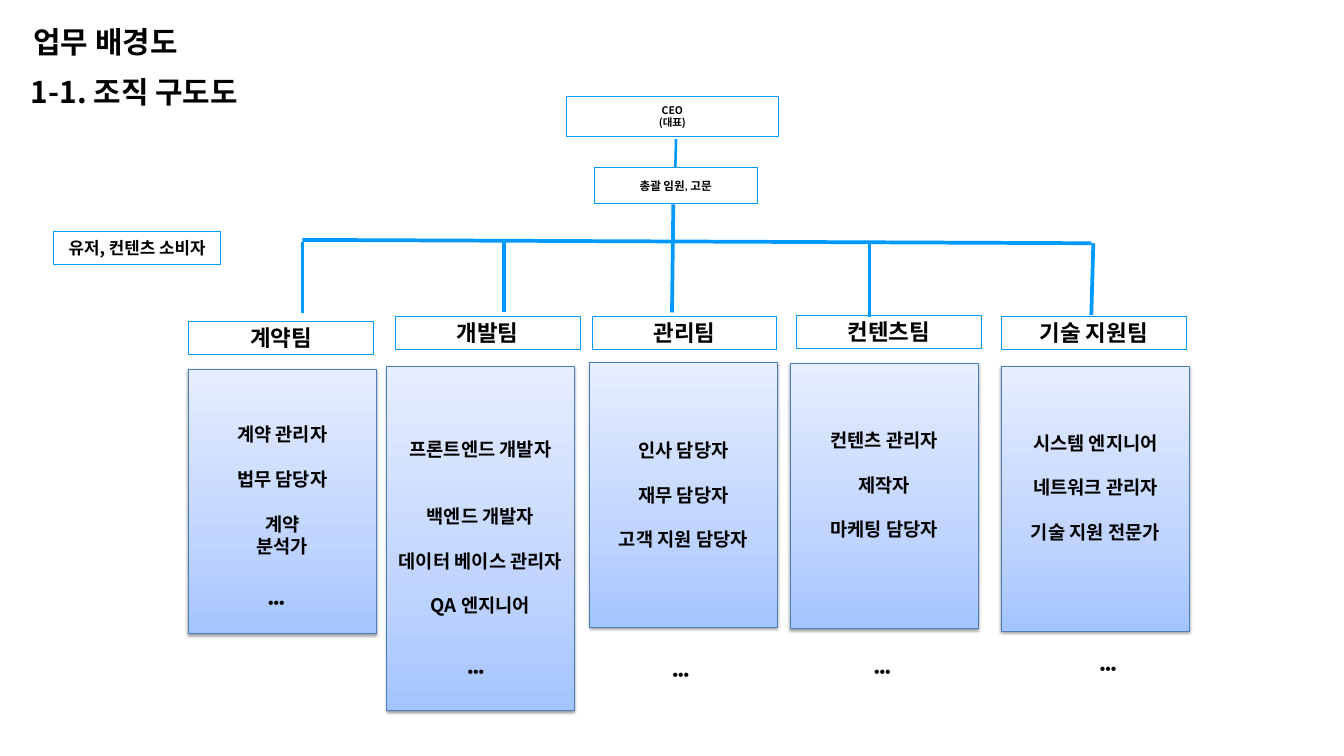
from lxml import etree
from pptx import Presentation
from pptx import util as u
from pptx.dml import color
from pptx.enum import shapes, text
from pptx.oxml import ns

KOREAN = "Noto Sans CJK KR"
ACCENT, PANEL_EDGE, INK = "0099FF", "4B7EBC", "000000"
PANEL_STOPS = ((0, "A4C4FF"), (35, "BFD4FF"), (100, "E6EEFF"))
ROLE_LINE = 24
HEADER_SIZE = (2.75, 0.49)
PANEL_WIDTH = 2.8

# name, header corner, panel corner, panel height, dots corner, blank last line, roles with lines before
TEAMS = (
    ("계약팀", (2.81, 4.78), (2.8, 5.49), 3.94, (3.89, 8.77), True,
     ((0, "계약 관리자"), (1, "법무 담당자"), (1, "계약"), (0, "분석가"))),
    ("개발팀", (5.88, 4.71), (5.75, 5.45), 5.12, (6.86, 9.8), True,
     ((0, "프론트엔드 개발자"), (2, "백엔드 개발자"), (1, "데이터 베이스 관리자"),
      (1, "QA 엔지니어"))),
    ("관리팀", (8.81, 4.71), (8.77, 5.39), 3.94, (9.91, 9.85), False,
     ((0, "인사 담당자"), (1, "재무 담당자"), (1, "고객 지원 담당자"))),
    ("컨텐츠팀", (11.85, 4.69), (11.76, 5.41), 3.94, (12.91, 9.8), True,
     ((0, "컨텐츠 관리자"), (1, "제작자"), (1, "마케팅 담당자"))),
    ("기술 지원팀", (14.9, 4.71), (14.9, 5.45), 3.94, (16.27, 9.76), True,
     ((0, "시스템 엔지니어"), (1, "네트워크 관리자"), (1, "기술 지원 전문가"))),
)
BRANCHES = (
    ((10.06, 2.07), (10.05, 2.49), 2.75),
    ((10.02, 3.04), (10, 4.65), 4),
    ((4.5, 3.57), (16.24, 3.62), 4),
    ((4.5, 3.6), (4.5, 4.66), 4),
    ((7.5, 3.6), (7.5, 4.64), 4),
    ((12.94, 3.6), (12.94, 4.71), 4),
    ((16.27, 3.62), (16.24, 4.69), 4),
)


def rgb(value):
    """Turn a hex string into a colour."""
    return color.RGBColor.from_string(value)


def sub(parent, tag, **attributes):
    """Append a DrawingML element to its parent."""
    return etree.SubElement(parent, ns.qn(f"a:{tag}"), attributes)


def write(frame, lines, size, font=KOREAN, align=text.PP_ALIGN.CENTER):
    """Fill a text frame with bold lines, each given with the blank lines before it."""
    frame.word_wrap = True
    for index, (gap, line) in enumerate(lines):
        paragraph = frame.paragraphs[0] if index == 0 else frame.add_paragraph()
        paragraph.text = line
        paragraph.alignment = align
        if gap:
            paragraph.space_before = u.Pt(gap * ROLE_LINE)
        paragraph.font.size = u.Pt(size)
        paragraph.font.bold = True
        paragraph.font.color.rgb = rgb(INK)
        paragraph.font.name = font
        sub(paragraph.font._rPr, "ea", typeface=font)


def add_rectangle(slide, corner, size, edge):
    """Add an outlined, unfilled rectangle with middle-anchored text."""
    box = slide.shapes.add_shape(shapes.MSO_SHAPE.RECTANGLE,
                                 *map(u.Inches, (*corner, *size)))
    box.shadow.inherit = False
    box.fill.background()
    box.line.color.rgb = rgb(edge)
    box.line.width = u.Pt(0.75)
    box.text_frame.vertical_anchor = text.MSO_ANCHOR.MIDDLE
    return box


def add_label(slide, corner, size, lines, points, font=KOREAN):
    """Add an outlined box with centred lines."""
    box = add_rectangle(slide, corner, size, ACCENT)
    write(box.text_frame, [(0, line) for line in lines], points, font)


def add_caption(slide, corner, size, line, points, font=KOREAN):
    """Add a left-aligned line of free text."""
    box = slide.shapes.add_textbox(*map(u.Inches, (*corner, *size)))
    write(box.text_frame, [(0, line)], points, font, text.PP_ALIGN.LEFT)


def add_branch(slide, start, end, width):
    """Add one line of the organisation tree."""
    branch = slide.shapes.add_connector(shapes.MSO_CONNECTOR.STRAIGHT,
                                        *map(u.Inches, (*start, *end)))
    branch.line.color.rgb = rgb(ACCENT)
    branch.line.width = u.Pt(width)
    sub(branch._element.spPr, "effectLst")


def add_panel(slide, corner, height, roles, blank_last):
    """Add a shaded, shadowed panel that lists the roles of a team."""
    panel = add_rectangle(slide, corner, (PANEL_WIDTH, height), PANEL_EDGE)
    panel.fill.gradient()
    panel.fill.gradient_angle = 90
    properties = panel._element.spPr
    stops = properties.find(".//" + ns.qn("a:gsLst"))
    for stop in list(stops):
        stops.remove(stop)
    for position, value in PANEL_STOPS:
        sub(sub(stops, "gs", pos=str(position * 1000)), "srgbClr", val=value)
    shadow = sub(properties.find(ns.qn("a:effectLst")), "outerShdw", blurRad="40000",
                 dist="20000", dir="5400000", rotWithShape="0")
    sub(sub(shadow, "srgbClr", val=INK), "alpha", val="38000")
    if blank_last:
        panel.text_frame.margin_bottom = u.Inches(0.05) + u.Pt(ROLE_LINE)
    write(panel.text_frame, roles, 20)


def add_team(slide, name, header, panel, height, dots, blank_last, roles):
    """Add a team's header, role panel and dots."""
    add_label(slide, header, HEADER_SIZE, [name], 24)
    add_panel(slide, panel, height, roles, blank_last)
    add_caption(slide, dots, (0.49, 0.38), "•••", 16.9, "Times New Roman")


def add_titles(slide, left, top):
    """Add the two heading lines."""
    add_caption(slide, (left, top), (3.92, 0.63), "업무 배경도", 32)
    add_caption(slide, (left - 0.04, top + 0.75), (3.92, 0.63), "1-1. 조직 구도도", 32)


def add_leadership(slide, left, top):
    """Add the two boxes at the head of the tree."""
    add_label(slide, (left, top), (3.15, 0.6), ["CEO", "(대표)"], 11.2)
    add_label(slide, (left + 0.41, top + 1.06), (2.43, 0.54), ["총괄 임원, 고문"],
              12.4, "Calibri")


def main():
    """Build the organisation chart slide."""
    deck = Presentation()
    deck.slide_width, deck.slide_height = u.Inches(20), u.Inches(11.25)
    slide = deck.slides.add_slide(deck.slide_layouts[6])
    add_titles(slide, 0.4, 0.3)
    add_leadership(slide, 8.43, 1.43)
    add_label(slide, (0.8, 3.44), (2.48, 0.49), ["유저, 컨텐츠 소비자"], 18)
    for branch in BRANCHES:
        add_branch(slide, *branch)
    for team in TEAMS:
        add_team(slide, *team)
    deck.save("out.pptx")


if __name__ == "__main__":
    main()
